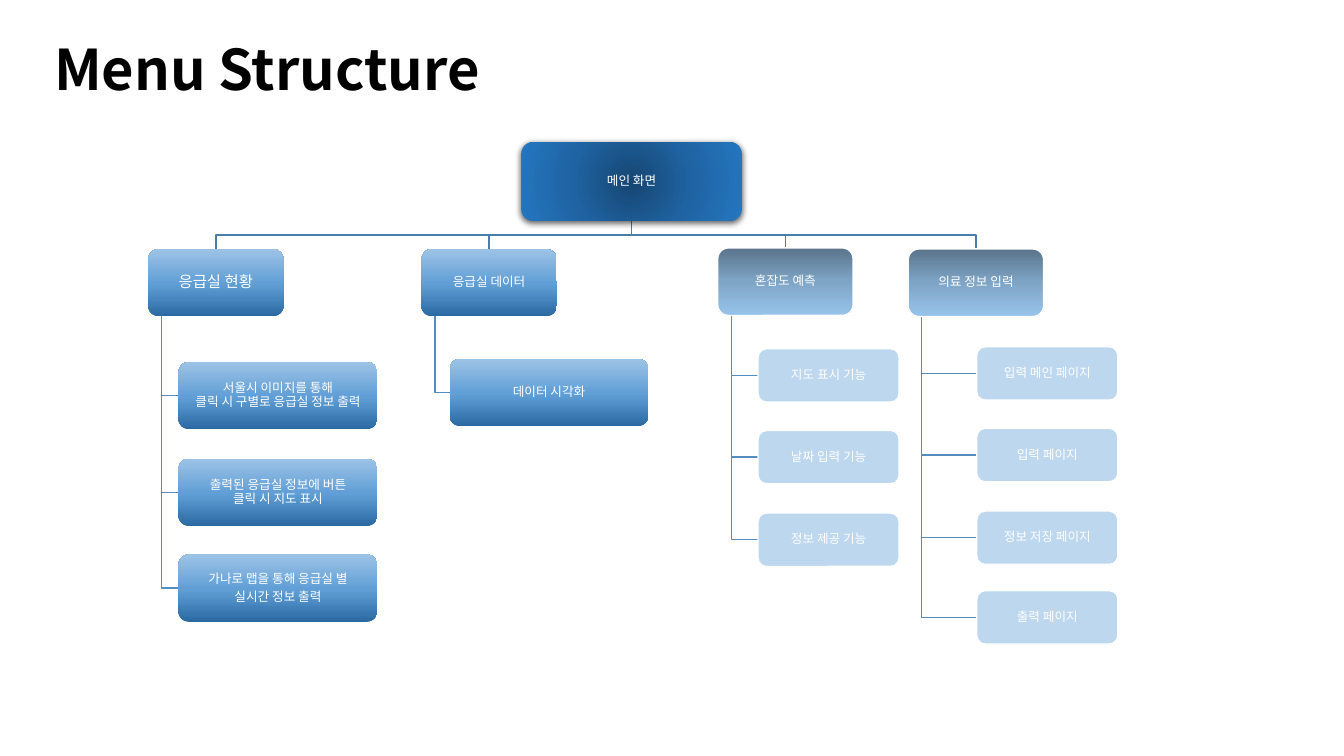
from copy import deepcopy
from dataclasses import dataclass
from typing import Any, NamedTuple

from pptx import Presentation
from pptx.dml.color import RGBColor
from pptx.enum.shapes import MSO_SHAPE as Shp
from pptx.enum.text import MSO_ANCHOR as Anchor, MSO_AUTO_SIZE as Auto, PP_ALIGN as Align
from pptx.oxml import parse_xml
from pptx.oxml.ns import nsdecls, qn
from pptx.util import Inches, Pt

COLS, ROWS = 40, 30
W, H = Inches(13.33), Inches(7.5)
FONT = "Noto Sans CJK KR"

BLACK = RGBColor(0x00, 0x00, 0x00)
WHITE = RGBColor(0xFF, 0xFF, 0xFF)
PALE = RGBColor(0xBD, 0xD7, 0xEE)
BUS = RGBColor(0x49, 0x7C, 0xAB)
TRUNK = RGBColor(0x53, 0x8D, 0xC1)
NAVY_STOPS = ((0, RGBColor(0x16, 0x46, 0x72)), (50, RGBColor(0x1F, 0x63, 0xA2)),
              (100, RGBColor(0x24, 0x76, 0xC0)))
BLUE_STOPS = ((0, RGBColor(0x2A, 0x69, 0xA2)), (48, RGBColor(0x60, 0x9E, 0xD6)),
              (100, RGBColor(0x9D, 0xC3, 0xE6)))
SLATE_STOPS = ((0, RGBColor(0x5A, 0x74, 0x8B)), (50, RGBColor(0x7F, 0xA5, 0xC6)),
               (100, RGBColor(0x97, 0xC3, 0xEB)))

RADIAL = ('<a:path path="circle"><a:fillToRect l="50000" t="50000" '
          'r="50000" b="50000"/></a:path>')
UPWARD = '<a:lin ang="16200000" scaled="0"/>'
DOWNWARD = '<a:lin ang="5400000" scaled="0"/>'


class Rect(NamedTuple):
    x: float
    y: float
    w: float
    h: float


class Leaf(NamedTuple):
    text: str
    y: float


@dataclass(frozen=True)
class Style:
    stops: tuple = ()
    direction: str = ""
    outlined: bool = False
    shadow: bool = False


@dataclass(frozen=True)
class Branch:
    text: str
    x: float
    y: float
    head: Style
    leaf: Style
    leaf_x: float
    leaf_w: float
    leaf_h: float
    leaves: tuple
    size: float = 9

    def head_rect(self) -> Rect:
        return Rect(self.x, self.y, 4.03, 2.68)

    def leaf_rect(self, leaf: Leaf) -> Rect:
        return Rect(self.leaf_x, leaf.y, self.leaf_w, self.leaf_h)


NAVY = Style(NAVY_STOPS, RADIAL, shadow=True)
BLUE = Style(BLUE_STOPS, UPWARD)
SLATE = Style(SLATE_STOPS, DOWNWARD, outlined=True)
FLAT = Style(outlined=True)

ROOT = Rect(15.51, 5.64, 6.57, 3.12)
BRANCHES = (
    Branch("응급실 현황", 4.41, 9.88, BLUE, BLUE, 5.31, 5.92, 2.68, (
        Leaf("서울시 이미지를 통해\v클릭 시 구별로 응급실 정보 출력", 14.36),
        Leaf("출력된 응급실 정보에 버튼\v클릭 시 지도 표시", 18.2),
        Leaf("가나로 맵을 통해 응급실 별\n실시간 정보 출력", 22)), 11),
    Branch("응급실 데이터", 12.54, 9.88, BLUE, BLUE, 13.38, 5.92, 2.68, (
        Leaf("데이터 시각화", 14.24),)),
    Branch("혼잡도 예측", 21.36, 9.84, SLATE, FLAT, 22.56, 4.2, 2.12, (
        Leaf("지도 표시 기능", 13.84),
        Leaf("날짜 입력 기능", 17.08),
        Leaf("정보 제공 기능", 20.36))),
    Branch("의료 정보 입력", 27.03, 9.88, SLATE, FLAT, 29.07, 4.2, 2.12, (
        Leaf("입력 메인 페이지", 13.76),
        Leaf("입력 페이지", 17),
        Leaf("정보 저장 페이지", 20.28),
        Leaf("출력 페이지", 23.44))),
)


def cx(cols: float) -> int:
    return round(W * cols / COLS)


def cy(rows: float) -> int:
    return round(H * rows / ROWS)


def place(rect: Rect) -> tuple:
    return cx(rect.x), cy(rect.y), cx(rect.w), cy(rect.h)


def apply(target: Any, values: dict) -> None:
    for name, value in values.items():
        setattr(target, name, value)


def format_runs(p: Any, size: float, color: RGBColor, bold: bool = False) -> None:
    for r in p.runs:
        apply(r.font, {"name": FONT, "size": Pt(size), "bold": bold})
        r.font.color.rgb = color
        props = r._r.get_or_add_rPr()
        props.append(parse_xml(f'<a:ea {nsdecls("a")} typeface="{FONT}"/>'))
        for br in p._p.findall(qn("a:br")):
            if br.find(qn("a:rPr")) is None:
                br.append(deepcopy(props))


def fill_gradient(sp: Any, style: Style) -> None:
    stops = "".join(f'<a:gs pos="{pos * 1000}"><a:srgbClr val="{color}"/></a:gs>'
                    for pos, color in style.stops)
    geometry = sp._element.spPr.find(qn("a:prstGeom"))
    geometry.addnext(parse_xml(
        f'<a:gradFill {nsdecls("a")} rotWithShape="1"><a:gsLst>{stops}</a:gsLst>'
        f'{style.direction}</a:gradFill>'))


def add_shadow(sp: Any) -> None:
    effects = sp._element.spPr.find(qn("a:effectLst"))
    effects.append(parse_xml(
        f'<a:outerShdw {nsdecls("a")} blurRad="{Pt(4.5)}" dist="{Pt(1.5)}" dir="5400000" '
        'algn="ctr" rotWithShape="0"><a:srgbClr val="000000"><a:alpha val="63000"/>'
        '</a:srgbClr></a:outerShdw>'))


def add_box(s: Any, rect: Rect, text: str, style: Style, size: float = 9) -> None:
    sp = s.shapes.add_shape(Shp.ROUNDED_RECTANGLE, *place(rect))
    sp.adjustments[0] = 0.15 if style.shadow else 0.16
    sp.shadow.inherit = False
    if style.stops:
        fill_gradient(sp, style)
    else:
        sp.fill.solid()
        sp.fill.fore_color.rgb = PALE
    if style.outlined:
        sp.line.color.rgb = WHITE
        sp.line.width = Pt(1)
    else:
        sp.line.fill.background()
    if style.shadow:
        add_shadow(sp)
    tf = sp.text_frame
    inset = Inches(0.01)
    apply(tf, {"margin_left": inset, "margin_right": inset, "margin_top": inset,
               "margin_bottom": inset, "word_wrap": True, "vertical_anchor": Anchor.MIDDLE})
    tf.text = text
    for p in tf.paragraphs:
        apply(p, {"alignment": Align.CENTER, "line_spacing": 0.9,
                  "space_after": Pt(size * 0.35)})
        format_runs(p, size, WHITE)


def add_link(s: Any, points: list, color: RGBColor) -> None:
    start, *rest = [(cx(x), cy(y)) for x, y in points]
    builder = s.shapes.build_freeform(*start)
    builder.add_line_segments(rest, close=False)
    sp = builder.convert_to_shape()
    sp.shadow.inherit = False
    sp.fill.background()
    sp.line.color.rgb = color
    sp.line.width = Pt(1)


def add_links(s: Any, branch: Branch) -> None:
    head = branch.head_rect()
    root_x, root_y = ROOT.x + ROOT.w / 2, ROOT.y + ROOT.h
    head_x, bus_y = head.x + head.w / 2, (root_y + head.y) / 2
    add_link(s, [(root_x, root_y), (root_x, bus_y), (head_x, bus_y), (head_x, head.y)], BUS)
    trunk_x = head.x + head.w / 10
    for leaf in branch.leaves:
        y = leaf.y + branch.leaf_h / 2
        add_link(s, [(trunk_x, head.y + head.h), (trunk_x, y), (branch.leaf_x, y)], TRUNK)


def add_title(s: Any, text: str) -> None:
    tf = s.shapes.add_textbox(*place(Rect(1.32, 1.16, 20.19, 3.08))).text_frame
    apply(tf, {"word_wrap": True, "auto_size": Auto.SHAPE_TO_FIT_TEXT, "text": text})
    format_runs(tf.paragraphs[0], 40, BLACK, True)


def main() -> None:
    prs = Presentation()
    apply(prs, {"slide_width": W, "slide_height": H})
    s = prs.slides.add_slide(prs.slide_layouts[6])
    add_title(s, "Menu Structure")
    for branch in BRANCHES:
        add_links(s, branch)
    add_box(s, ROOT, "메인 화면", NAVY)
    for branch in BRANCHES:
        add_box(s, branch.head_rect(), branch.text, branch.head, branch.size)
        for leaf in branch.leaves:
            add_box(s, branch.leaf_rect(leaf), leaf.text, branch.leaf)
    prs.save("out.pptx")


if __name__ == "__main__":
    main()
